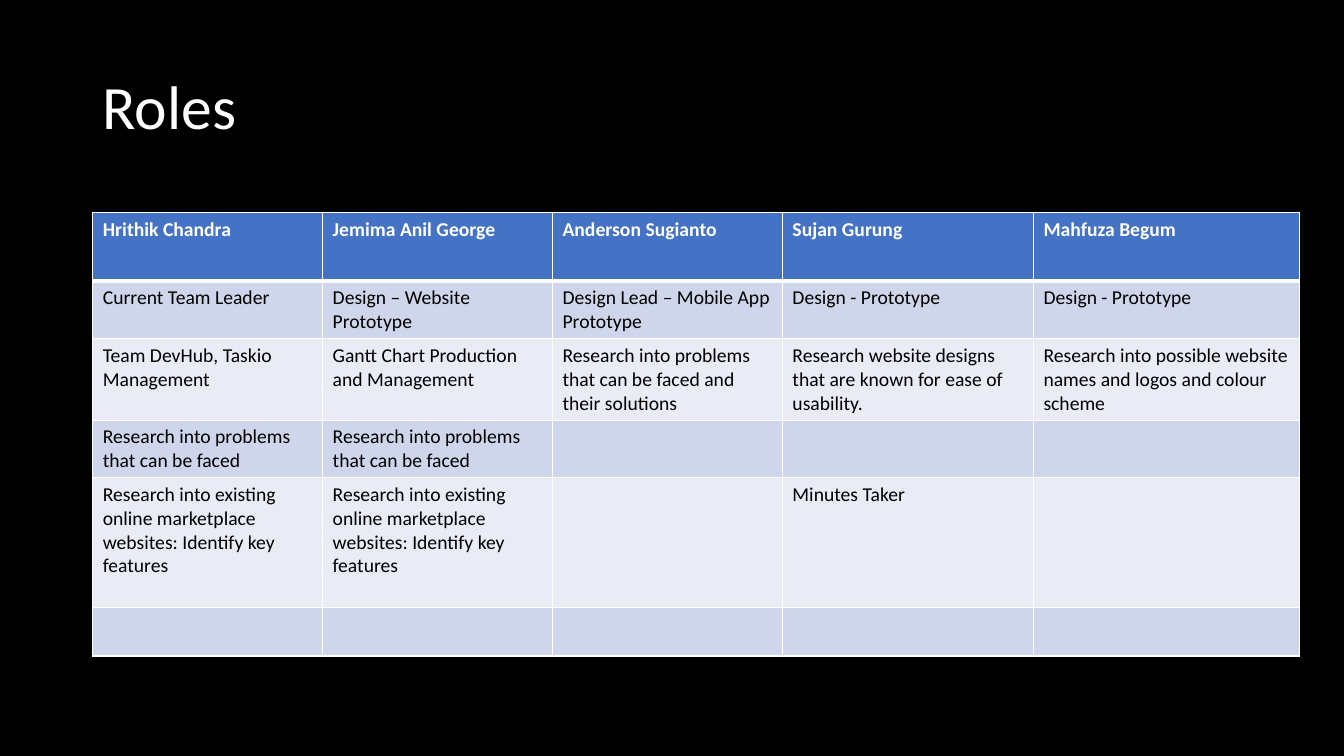
import pptx
import pptx.dml.color
import pptx.enum.text
import pptx.oxml
import pptx.oxml.ns
import pptx.util
from pptx.util import Inches

COLORS = {
    "background": "000000",
    "light": "FFFFFF",
    "dark": "000000",
    "header": "4472C4",
    "odd_row": "CFD5EA",
    "even_row": "E9EBF5",
}
FONT = "Calibri"
COLUMN_WIDTHS = [2.28, 2.28, 2.28, 2.49, 2.64]
ROW_HEIGHTS = [0.68, 0.57, 0.81, 0.57, 1.29, 0.48]

FACED = "Research into problems that can be faced"
MARKETPLACES = "Research into existing online marketplace websites: Identify key features"
ROLES = [
    ["Hrithik Chandra", "Jemima Anil George", "Anderson Sugianto", "Sujan Gurung", "Mahfuza Begum"],
    ["Current Team Leader", "Design – Website Prototype", "Design Lead – Mobile App Prototype",
     "Design - Prototype", "Design - Prototype"],
    ["Team DevHub, Taskio Management", "Gantt Chart Production and Management",
     FACED + " and their solutions",
     "Research website designs that are known for ease of usability.",
     "Research into possible website names and logos and colour scheme"],
    [FACED, FACED, "", "", ""],
    [MARKETPLACES, MARKETPLACES, "", "Minutes Taker", ""],
    ["", "", "", "", ""],
]


def rgb(name):
    return pptx.dml.color.RGBColor.from_string(COLORS[name])


def write_text(frame, text, size=14, color="dark", bold=False, line_spacing=None):
    frame.word_wrap = True
    paragraph = frame.paragraphs[0]
    paragraph.line_spacing = line_spacing
    run = paragraph.add_run()
    run.text = text
    run.font.name = FONT
    run.font.size = pptx.util.Pt(size)
    run.font.bold = bold
    run.font.color.rgb = rgb(color)


def set_borders(cell, **widths):
    """Draw light cell borders; keywords L, R, T and B give widths in points."""
    properties = cell._tc.get_or_add_tcPr()
    for side in "LRTB":
        width = pptx.util.Pt(widths.get(side, 1))
        properties.append(pptx.oxml.parse_xml(
            f'<a:ln{side} {pptx.oxml.ns.nsdecls("a")} w="{width}"><a:solidFill>'
            f'<a:srgbClr val="{COLORS["light"]}"/></a:solidFill></a:ln{side}>'))


def add_title(slide, left, top, width, height):
    box = slide.shapes.add_textbox(Inches(left), Inches(top), Inches(width), Inches(height))
    box.text_frame.vertical_anchor = pptx.enum.text.MSO_ANCHOR.MIDDLE
    write_text(box.text_frame, "Roles", size=44, color="light", line_spacing=0.9)


def add_roles_table(slide, left, top):
    table = slide.shapes.add_table(
        len(ROLES), len(COLUMN_WIDTHS), Inches(left), Inches(top),
        Inches(sum(COLUMN_WIDTHS)), Inches(sum(ROW_HEIGHTS))).table
    for column, width in zip(table.columns, COLUMN_WIDTHS):
        column.width = Inches(width)
    for index, (row, height, texts) in enumerate(zip(table.rows, ROW_HEIGHTS, ROLES)):
        row.height = Inches(height)
        is_header = index == 0
        fill = "header" if is_header else "odd_row" if index % 2 else "even_row"
        for cell, text in zip(row.cells, texts):
            set_borders(cell, T=3 if index == 1 else 1, B=3 if is_header else 1)
            cell.fill.solid()
            cell.fill.fore_color.rgb = rgb(fill)
            if text:
                write_text(cell.text_frame, text, bold=is_header,
                           color="light" if is_header else "dark")


def main():
    presentation = pptx.Presentation()
    presentation.slide_width = Inches(13.33)
    presentation.slide_height = Inches(7.5)
    slide = presentation.slides.add_slide(presentation.slide_layouts[6])
    slide.background.fill.solid()
    slide.background.fill.fore_color.rgb = rgb("background")
    add_title(slide, 0.92, 0.36, 11.5, 1.45)
    add_roles_table(slide, 0.92, 2.11)
    presentation.save("out.pptx")


if __name__ == "__main__":
    main()
